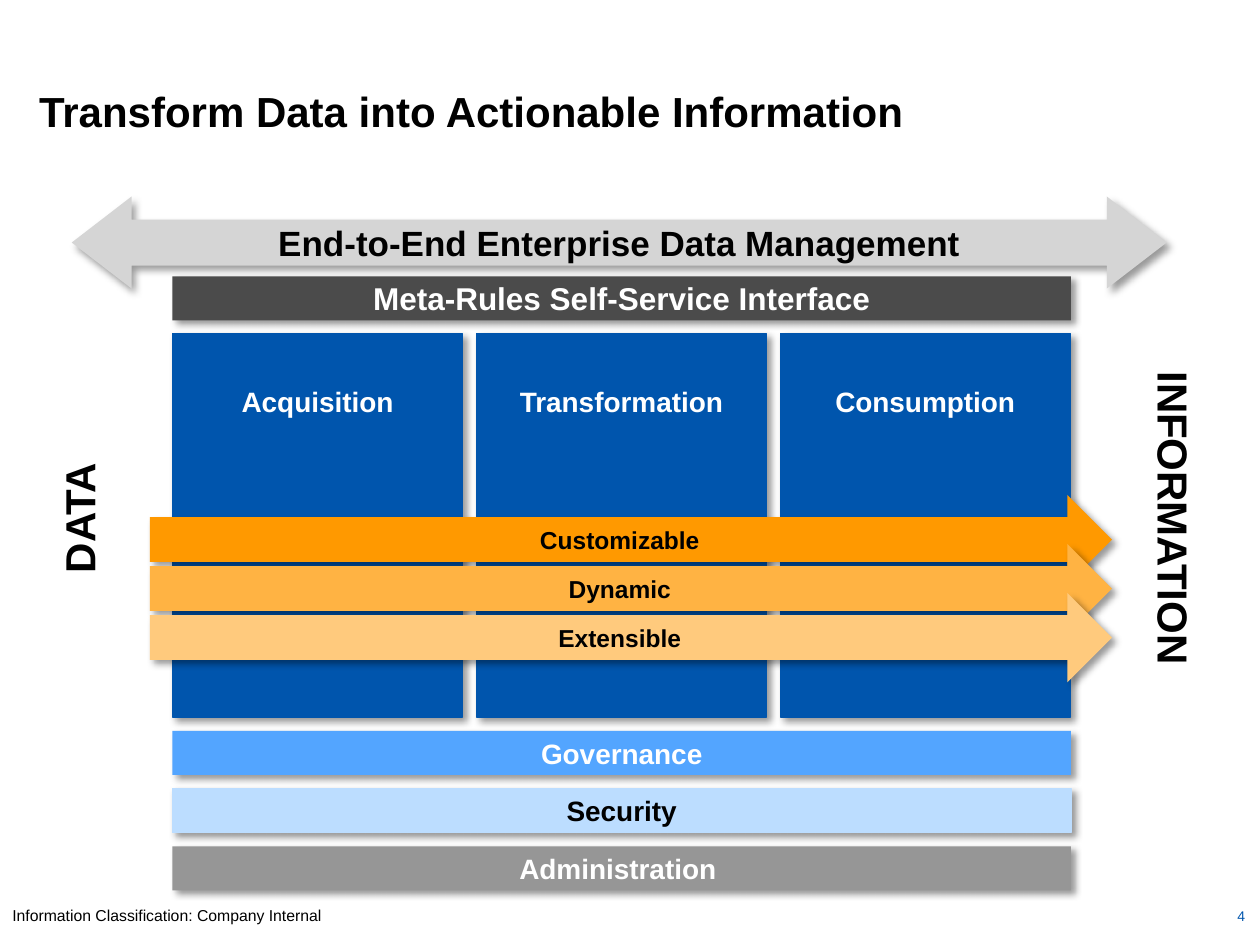
from lxml.etree import SubElement
from pptx import Presentation
from pptx.dml.color import RGBColor
from pptx.enum.shapes import MSO_SHAPE as SHAPE
from pptx.enum.text import MSO_ANCHOR as ANCHOR, MSO_AUTO_SIZE as AUTO, PP_ALIGN as ALIGN
from pptx.oxml.ns import qn
from pptx.util import Pt

BLACK = RGBColor(0x00, 0x00, 0x00)
WHITE = RGBColor(0xFF, 0xFF, 0xFF)
BLUE = RGBColor(0x00, 0x55, 0xAD)
MID_BLUE = RGBColor(0x53, 0xA5, 0xFF)
PALE_BLUE = RGBColor(0xBC, 0xDD, 0xFF)
ORANGE = RGBColor(0xFF, 0x99, 0x00)
MID_ORANGE = RGBColor(0xFF, 0xB3, 0x43)
PALE_ORANGE = RGBColor(0xFF, 0xCA, 0x7D)
DARK_GRAY = RGBColor(0x4B, 0x4B, 0x4B)
GRAY = RGBColor(0x96, 0x96, 0x96)
LIGHT_GRAY = RGBColor(0xD5, 0xD5, 0xD5)

LEFT, WIDTH, BAR_HEIGHT = 98.6, 513.4, 25.2


def set_text(tf, text, size, color, bold=True, align=ALIGN.CENTER):
    tf.text = text
    p = tf.paragraphs[0]
    p.alignment = align
    font = p.runs[0].font
    font.name, font.size, font.bold = "Arial", Pt(size), bold
    font.color.rgb = color


def set_margins(tf, left, top, right, bottom):
    tf.margin_left, tf.margin_top = Pt(left), Pt(top)
    tf.margin_right, tf.margin_bottom = Pt(right), Pt(bottom)


def add_shadow(sp):
    sp.shadow.inherit = False
    effects = sp._element.spPr.find(qn("a:effectLst"))
    shadow = SubElement(effects, qn("a:outerShdw"), blurRad=str(Pt(4)), dist=str(Pt(3)),
                        dir="2700000", algn="tl", rotWithShape="0")
    color = SubElement(shadow, qn("a:srgbClr"), val="000000")
    SubElement(color, qn("a:alpha"), val="40000")


def add_box(s, kind, box, text, size, fill, color, outlined=False):
    sp = s.shapes.add_shape(kind, *map(Pt, box))
    sp.fill.solid()
    sp.fill.fore_color.rgb = fill
    if outlined:
        sp.line.color.rgb = fill
        sp.line.width = Pt(0.75)
    else:
        sp.line.fill.background()
    add_shadow(sp)
    sp.text_frame.vertical_anchor = ANCHOR.MIDDLE
    set_text(sp.text_frame, text, size, color)
    return sp


def add_stage(s, index, text):
    box = (LEFT + index * 173.6, 190.8, 165.8, 218.9)
    tf = add_box(s, SHAPE.RECTANGLE, box, text, 16, BLUE, WHITE, True).text_frame
    tf.vertical_anchor = ANCHOR.TOP
    set_margins(tf, 3.6, 28.8, 3.6, 3.6)


def add_label(s, box, text, size, color, bold, align, rotation=0):
    sp = s.shapes.add_textbox(*map(Pt, box))
    sp.rotation = rotation
    sp.text_frame.word_wrap = True
    set_text(sp.text_frame, text, size, color, bold, align)


def add_title(s, text):
    sp = s.shapes.title
    sp.left, sp.top, sp.width, sp.height = Pt(22.3), Pt(49), Pt(650.2), Pt(28.8)
    tf = sp.text_frame
    set_margins(tf, 0, 0, 0, 0)
    tf.vertical_anchor = ANCHOR.MIDDLE
    tf.word_wrap = True
    tf.auto_size = AUTO.SHAPE_TO_FIT_TEXT
    set_text(tf, text, 24, BLACK, align=ALIGN.LEFT)


def main():
    prs = Presentation()
    prs.slide_width, prs.slide_height = Pt(720), Pt(540)
    s = prs.slides.add_slide(prs.slide_layouts[5])

    add_title(s, "Transform Data into Actionable Information")
    add_label(s, (550.8, 514.8, 167.8, 18), "4", 8, BLUE, False, ALIGN.RIGHT)
    add_label(s, (0, 514.1, 720, 18), "Information Classification: Company Internal",
              9, BLACK, False, ALIGN.LEFT)

    span = add_box(s, SHAPE.LEFT_RIGHT_ARROW, (41, 112.3, 625.7, 52.6),
                   "End-to-End Enterprise Data Management", 20, LIGHT_GRAY, BLACK)
    span.adjustments[0], span.adjustments[1] = 0.5, 0.65
    span.text_frame.word_wrap = False

    add_box(s, SHAPE.RECTANGLE, (LEFT, 157.9, WIDTH, BAR_HEIGHT),
            "Meta-Rules Self-Service Interface", 18, DARK_GRAY, WHITE)

    for i, text in enumerate(("Acquisition", "Transformation", "Consumption")):
        add_stage(s, i, text)

    arrows = (("Customizable", ORANGE), ("Dynamic", MID_ORANGE), ("Extensible", PALE_ORANGE))
    for i, (text, fill) in enumerate(arrows):
        add_box(s, SHAPE.RIGHT_ARROW, (85.7, 282.8 + i * 28, 549.8, 51.1),
                text, 14, fill, BLACK)

    bars = (("Governance", MID_BLUE, WHITE, False), ("Security", PALE_BLUE, BLACK, True),
            ("Administration ", GRAY, WHITE, False))
    for i, (text, fill, color, outlined) in enumerate(bars):
        add_box(s, SHAPE.RECTANGLE, (LEFT, 417.6 + i * 33, WIDTH, BAR_HEIGHT),
                text, 16, fill, color, outlined)

    add_label(s, (-14.4, 278, 118.8, 36), "DATA", 24, BLACK, True, ALIGN.CENTER, 270)
    add_label(s, (575.3, 278, 191.5, 36), "INFORMATION", 24, BLACK, True, ALIGN.CENTER, 90)

    prs.save("out.pptx")


if __name__ == "__main__":
    main()
